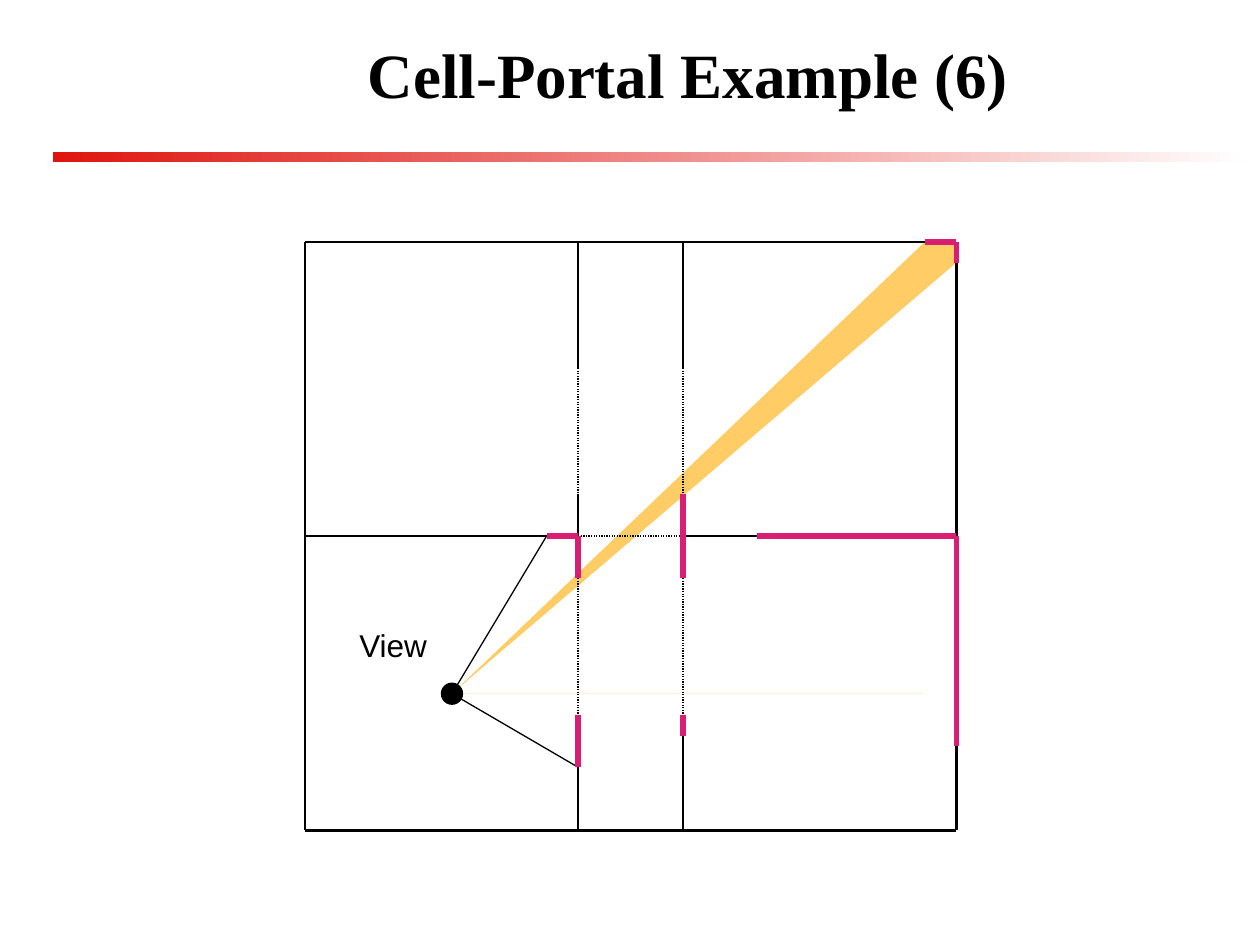
from dataclasses import dataclass

from lxml.etree import SubElement
from pptx import Presentation
from pptx.dml.color import RGBColor
from pptx.enum.dml import MSO_LINE
from pptx.enum.shapes import MSO_CONNECTOR, MSO_SHAPE
from pptx.enum.text import MSO_ANCHOR, PP_ALIGN
from pptx.oxml.ns import qn
from pptx.util import Inches, Pt


@dataclass(frozen=True)
class Theme:
    black: RGBColor = RGBColor(0x00, 0x00, 0x00)
    white: RGBColor = RGBColor(0xFF, 0xFF, 0xFF)
    rule: RGBColor = RGBColor(0xDF, 0x14, 0x0F)
    beam: RGBColor = RGBColor(0xFF, 0xCC, 0x66)
    visible: RGBColor = RGBColor(0xD9, 0x1F, 0x73)
    title_font: str = "Times New Roman"
    label_font: str = "Arial"
    title_size: int = 36
    label_size: int = 18
    thin: float = 0.75
    wall: float = 1.5
    thick: float = 3


THEME = Theme()

# The floor plan is drawn on a grid of 62 by 56 units
PLAN_COLUMNS = 62
HALL_LEFT, HALL_RIGHT, RIGHT = 26, 36, 62
MIDDLE, BOTTOM = 28, 56
EYE = (14, 43)

WALLS = [
    (0, 0, 0, BOTTOM), (0, BOTTOM, RIGHT, BOTTOM), (0, 0, 59, 0),
    (RIGHT, 2, RIGHT, MIDDLE), (RIGHT, 48, RIGHT, BOTTOM),
    (0, MIDDLE, 23, MIDDLE), (HALL_RIGHT, MIDDLE, 43, MIDDLE),
    (HALL_LEFT, 0, HALL_LEFT, 12), (HALL_LEFT, 24, HALL_LEFT, MIDDLE),
    (HALL_LEFT, 50, HALL_LEFT, BOTTOM),
    (HALL_RIGHT, 0, HALL_RIGHT, 12), (HALL_RIGHT, 47, HALL_RIGHT, BOTTOM),
]
PORTALS = [
    (HALL_LEFT, 12, HALL_LEFT, 24), (HALL_LEFT, 32, HALL_LEFT, 45),
    (HALL_RIGHT, 12, HALL_RIGHT, 24), (HALL_RIGHT, 32, HALL_RIGHT, 45),
    (HALL_LEFT, MIDDLE, HALL_RIGHT, MIDDLE),
]
SIGHT_LINES = [(*EYE, HALL_LEFT, 50), (*EYE, 23, MIDDLE)]
VISIBLE_WALLS = [
    (23, MIDDLE, HALL_LEFT, MIDDLE), (HALL_LEFT, MIDDLE, HALL_LEFT, 32),
    (HALL_LEFT, 45, HALL_LEFT, 50),
    (HALL_RIGHT, 24, HALL_RIGHT, MIDDLE), (HALL_RIGHT, MIDDLE, HALL_RIGHT, 32),
    (HALL_RIGHT, 45, HALL_RIGHT, 47),
    (43, MIDDLE, RIGHT, MIDDLE), (RIGHT, MIDDLE, RIGHT, 48),
    (RIGHT, 0, RIGHT, 2), (59, 0, RIGHT, 0),
]


def add_text(slide, box, text, *, font, size, bold=False, wrap=True,
             align=PP_ALIGN.LEFT, anchor=MSO_ANCHOR.TOP):
    frame = slide.shapes.add_textbox(*box).text_frame
    frame.word_wrap = wrap
    frame.vertical_anchor = anchor
    paragraph = frame.paragraphs[0]
    paragraph.alignment = align
    run = paragraph.add_run()
    run.text = text
    run.font.name = font
    run.font.size = Pt(size)
    run.font.bold = bold
    run.font.color.rgb = THEME.black


def add_shape(slide, kind, box, color=None, flipped=False):
    shape = slide.shapes.add_shape(kind, *box)
    shape.shadow.inherit = False
    shape.line.fill.background()
    if color is not None:
        shape.fill.solid()
        shape.fill.fore_color.rgb = color
    if flipped:
        shape._element.spPr.find(qn("a:xfrm")).set("flipH", "1")
    return shape


def add_line(slide, ends, color, width, dash=None):
    line = slide.shapes.add_connector(MSO_CONNECTOR.STRAIGHT, *ends)
    line.line.color.rgb = color
    line.line.width = Pt(width)
    if dash is not None:
        line.line.dash_style = dash
    SubElement(line._element.spPr, qn("a:effectLst"))


def add_heading(slide, title_box, rule_box):
    # Red rule fading to white
    rule = add_shape(slide, MSO_SHAPE.RECTANGLE, rule_box)
    rule.fill.gradient()
    rule.fill.gradient_angle = 0
    for stop, position, color in zip(rule.fill.gradient_stops, (0, 1),
                                     (THEME.rule, THEME.white)):
        stop.position = position
        stop.color.rgb = color

    add_text(slide, title_box, "Cell-Portal Example (6)", font=THEME.title_font,
             size=THEME.title_size, bold=True, align=PP_ALIGN.CENTER,
             anchor=MSO_ANCHOR.MIDDLE)


def add_floor_plan(slide, left, top, width):
    unit = width / PLAN_COLUMNS

    def place(x, y):
        return round(left + x * unit), round(top + y * unit)

    def area(x, y, columns, rows):
        return *place(x, y), round(columns * unit), round(rows * unit)

    def add_lines(segments, color, weight, dash=None):
        for x1, y1, x2, y2 in segments:
            add_line(slide, (*place(x1, y1), *place(x2, y2)), color, weight, dash)

    # Beam: two filled areas, with a white triangle covering the part below
    eye_x, eye_y = EYE
    add_shape(slide, MSO_SHAPE.RECTANGLE, area(59, 0, 3, MIDDLE), THEME.beam)
    for top_row, end_column, color in ((0, 59, THEME.beam), (2, RIGHT, THEME.white)):
        add_shape(slide, MSO_SHAPE.RIGHT_TRIANGLE,
                  area(eye_x, top_row, end_column - eye_x, eye_y - top_row),
                  color, flipped=True)

    # Walls, portals and what the viewer sees
    add_lines(WALLS, THEME.black, THEME.wall)
    add_lines(PORTALS, THEME.black, THEME.thin, MSO_LINE.ROUND_DOT)
    add_lines(SIGHT_LINES, THEME.black, THEME.thin)
    add_lines(VISIBLE_WALLS, THEME.visible, THEME.thick)

    # Viewer
    eye = add_shape(slide, MSO_SHAPE.OVAL, area(eye_x - 1, eye_y - 1, 2, 2),
                    THEME.black)
    eye.line.color.rgb = THEME.black
    eye.line.width = Pt(THEME.thin)
    add_text(slide, area(4, 36, 11, 6), "View", font=THEME.label_font,
             size=THEME.label_size, wrap=False)


def main():
    presentation = Presentation()
    presentation.slide_width = Inches(10)
    presentation.slide_height = Inches(7.5)
    slide = presentation.slides.add_slide(presentation.slide_layouts[6])
    add_heading(slide,
                (Inches(1.17), Inches(0.17), Inches(8.58), Inches(0.83)),
                (Inches(0.42), Inches(1.21), Inches(9.5), Inches(0.08)))
    add_floor_plan(slide, Inches(2.42), Inches(1.92), Inches(5.17))
    presentation.save("out.pptx")


if __name__ == "__main__":
    main()
